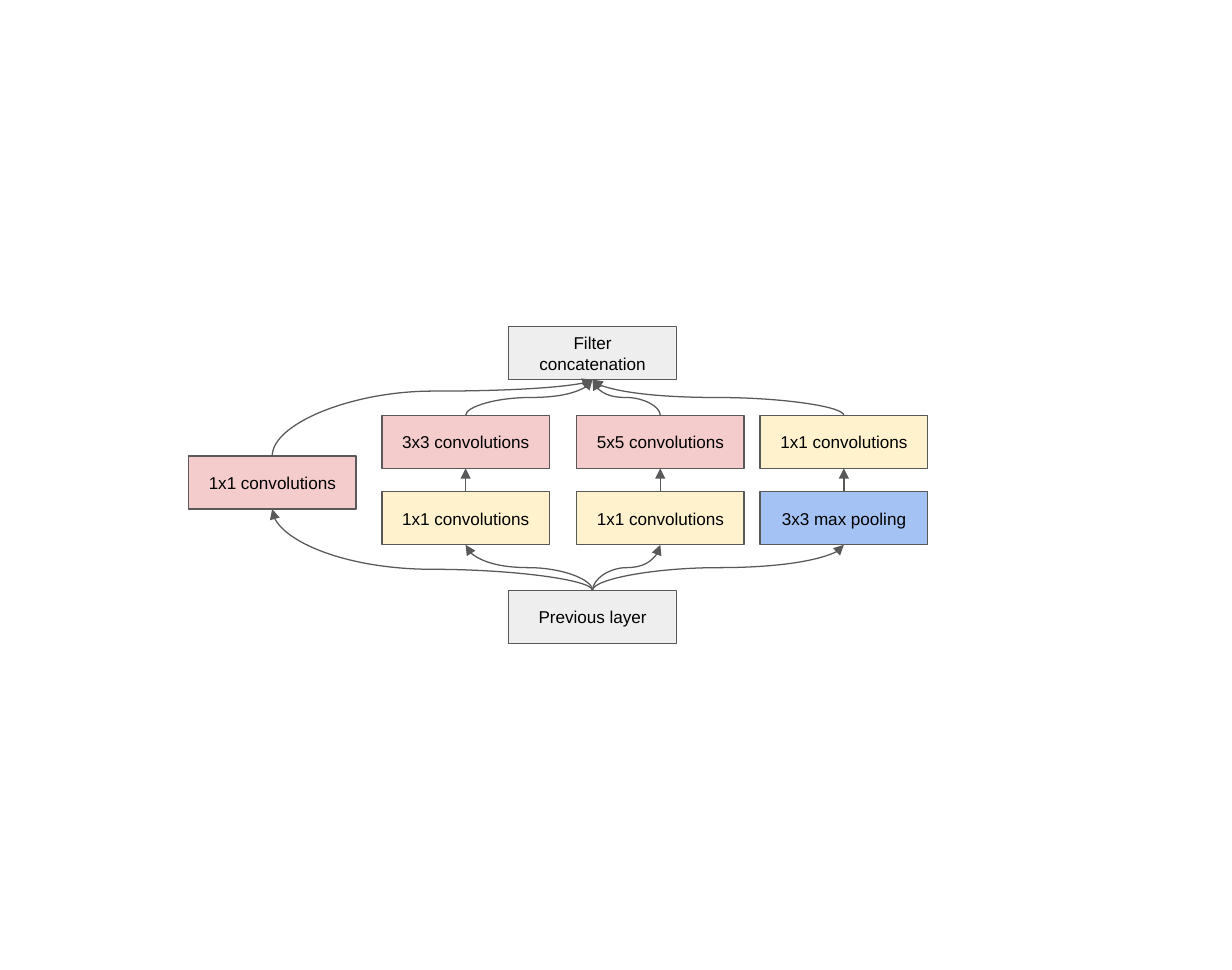
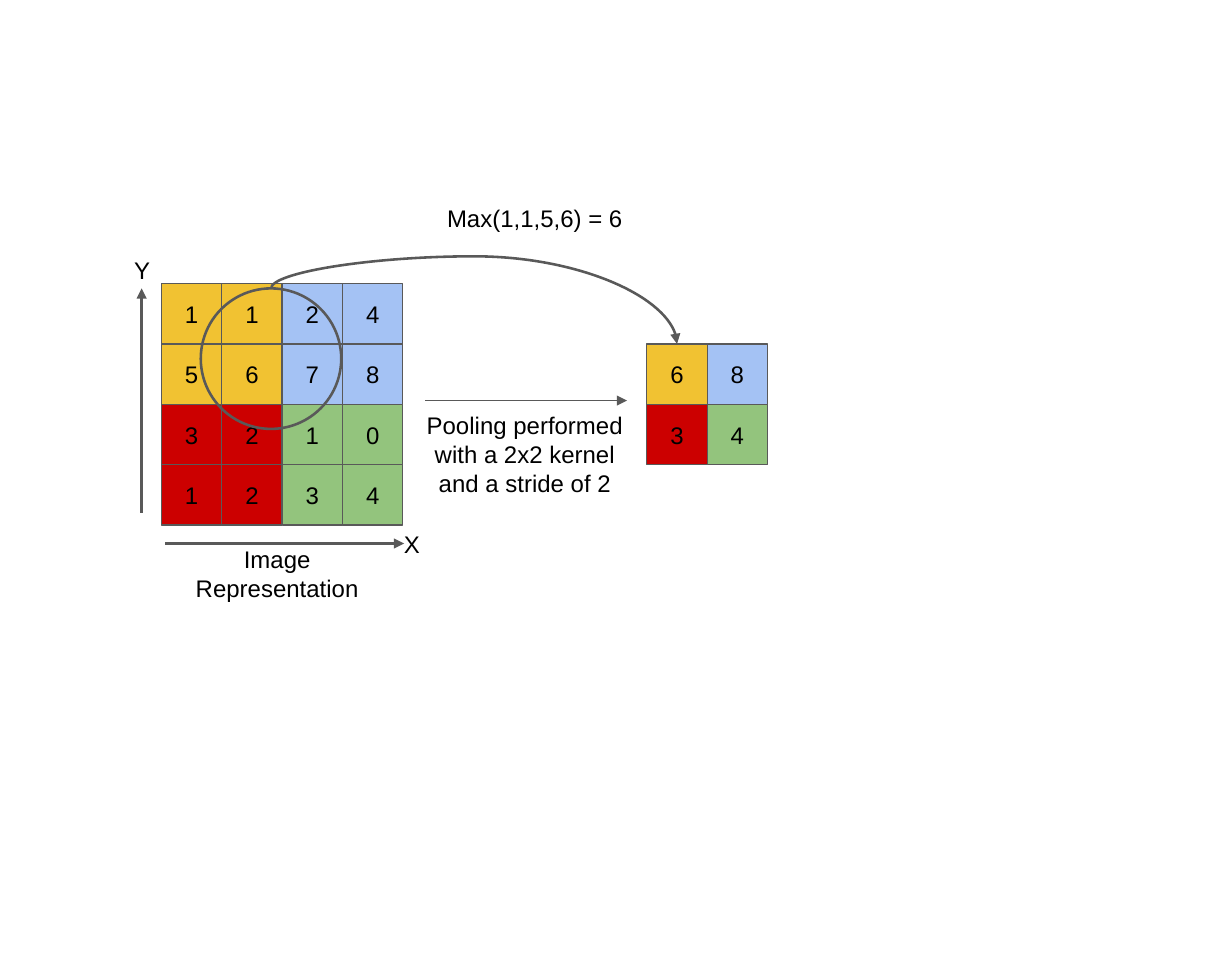
from lxml import etree
from pptx import Presentation
from pptx import util as u
from pptx.dml.color import RGBColor
from pptx.enum import shapes, text as t
from pptx.oxml.ns import qn

# Shared style
PX = 9144  # EMU per px, 100 px to the inch
WIDE, HIGH = 1000, 787
FONT = "Arial"
INK = RGBColor(0x00, 0x00, 0x00)
EDGE = RGBColor(0x59, 0x59, 0x59)
GREY = RGBColor(0xEE, 0xEE, 0xEE)
PINK = RGBColor(0xF4, 0xCC, 0xCC)
CREAM = RGBColor(0xFF, 0xF2, 0xCC)
BLUE = RGBColor(0xA4, 0xC2, 0xF4)
GOLD = RGBColor(0xF1, 0xC2, 0x32)
RED = RGBColor(0xCC, 0x00, 0x00)
GREEN = RGBColor(0x93, 0xC4, 0x7D)
RECT, OVAL = shapes.MSO_SHAPE.RECTANGLE, shapes.MSO_SHAPE.OVAL
TOP, BOTTOM = 0, 2  # connection sites

# Slide 1: the layers of the module
BOX = (136, 43)
LAYERS = {  # name: (left, top, text, fill)
    "prev": (413, 479, "Previous layer", GREY),
    "one": (153, 370, "1x1 convolutions", PINK),
    "three-in": (310, 399, "1x1 convolutions", CREAM),
    "three": (310, 337, "3x3 convolutions", PINK),
    "five-in": (468, 399, "1x1 convolutions", CREAM),
    "five": (468, 337, "5x5 convolutions", PINK),
    "pool": (617, 399, "3x3 max pooling", BLUE),
    "pool-out": (617, 337, "1x1 convolutions", CREAM),
    "concat": (413, 265, "Filter concatenation", GREY),
}
PATHS = [["one"], ["three-in", "three"], ["five-in", "five"], ["pool", "pool-out"]]
BENDS = {("prev", "one"): 0.26, ("one", "concat"): 0.85}

# Slide 2: max pooling of an image
CELL = 49
TINTS = [[GOLD, BLUE], [RED, GREEN]]
GRIDS = [  # left, top, cells to a tint, values
    (131, 230, 2, [[1, 1, 2, 4], [5, 6, 7, 8], [3, 2, 1, 0], [1, 2, 3, 4]]),
    (525, 279, 1, [[6, 8], [3, 4]]),
]
RING = (163, 234, 114, 114)
ARROWS = [  # start, end, width in points
    ((134, 441), (328, 441), 1.5),
    ((115, 416), (115, 234), 1.5),
    ((345, 325), (509, 325), 0.75),
]
LABELS = [  # place, text, format
    ((353, 155, 188, 76), "Max(1,1,5,6) = 6", {}),
    ((131, 432, 188, 76), "Image Representation", {"align": t.PP_ALIGN.CENTER}),
    ((99, 197, 49, 76), "Y", {}),
    ((318, 420, 49, 76), "X", {}),
    ((325, 320, 202, 97), "Pooling performed with a 2x2 kernel and a stride of 2",
     {"align": t.PP_ALIGN.CENTER, "anchor": t.MSO_ANCHOR.MIDDLE}),
]


def emu(*sizes):
    return [u.Emu(round(s * PX)) for s in sizes]


def write(shape, words, size=14, align=t.PP_ALIGN.LEFT, anchor=t.MSO_ANCHOR.TOP):
    frame = shape.text_frame
    frame.word_wrap = True
    frame.vertical_anchor = anchor
    (frame.margin_left, frame.margin_top,
     frame.margin_right, frame.margin_bottom) = emu(10, 10, 10, 10)
    frame.text = words
    para = frame.paragraphs[0]
    para.alignment = align
    font = para.runs[0].font
    font.name, font.size, font.color.rgb = FONT, u.Pt(size), INK


def stroke(item, width):
    item.line.color.rgb = EDGE
    item.line.width = u.Pt(width)


def draw(slide, place, kind=RECT, fill=None, width=0.75):
    shape = slide.shapes.add_shape(kind, *emu(*place))
    shape.shadow.inherit = False
    if fill is None:
        shape.fill.background()
    else:
        shape.fill.solid()
        shape.fill.fore_color.rgb = fill
    stroke(shape, width)
    return shape


def box(slide, place, words, fill, size):
    shape = draw(slide, place, fill=fill)
    write(shape, words, size=size, align=t.PP_ALIGN.CENTER, anchor=t.MSO_ANCHOR.MIDDLE)
    return shape


def arrow(slide, start, end, width=0.75, kind=shapes.MSO_CONNECTOR.STRAIGHT):
    link = slide.shapes.add_connector(kind, *emu(*start, *end))
    stroke(link, width)
    props = link._element.spPr
    etree.SubElement(props.get_or_add_ln(), qn("a:tailEnd"), type="triangle")
    etree.SubElement(props, qn("a:effectLst"))
    return link


def curve(slide, source, target, sites=(TOP, BOTTOM), bend=0.5, width=0.75):
    """Join two shapes by a curve that leaves and arrives upright."""
    link = arrow(slide, (0, 0), (0, 0), width, shapes.MSO_CONNECTOR.CURVE)
    link.begin_connect(source, sites[0])
    link.end_connect(target, sites[1])
    x, y = link.begin_x, link.begin_y
    run, rise = link.end_x - x, link.end_y - y
    # The preset runs sideways, so it is turned about its centre
    wide, high = abs(rise), abs(run)
    link.left = u.Emu(x + (run - wide) // 2)
    link.top = u.Emu(y + (rise - high) // 2)
    link.width, link.height = u.Emu(wide), u.Emu(high)
    left, up = run < 0, rise < 0
    frame = link._element.spPr.xfrm
    frame.set("rot", str((90 if left else 270) * 60000))
    frame.set("flipH", str(int(left == up)))
    frame.set("flipV", "0")
    guides = link._element.spPr.find(qn("a:prstGeom")).get_or_add_avLst()
    etree.SubElement(guides, qn("a:gd"), name="adj1", fmla=f"val {round(bend * 100000)}")


def module(slide):
    nodes = {name: box(slide, (x, y, *BOX), words, fill, 10)
             for name, (x, y, words, fill) in LAYERS.items()}
    for path in PATHS:
        stops = ["prev", *path, "concat"]
        for pair in zip(stops, stops[1:]):
            curve(slide, *(nodes[name] for name in pair), bend=BENDS.get(pair, 0.5))


def pooling(slide):
    firsts = []
    for left, top, span, rows in GRIDS:
        cells = [box(slide, (left + c * CELL, top + r * CELL, CELL, CELL),
                     str(value), TINTS[r // span][c // span], 14)
                 for r, row in enumerate(rows) for c, value in enumerate(row)]
        firsts.append(cells[0])
    for start, end, width in ARROWS:
        arrow(slide, start, end, width)
    ring = draw(slide, RING, kind=OVAL, width=1.5)
    curve(slide, ring, firsts[1], sites=(TOP, TOP), bend=-0.58, width=1.5)
    for place, words, style in LABELS:
        write(slide.shapes.add_textbox(*emu(*place)), words, **style)


def main():
    deck = Presentation()
    deck.slide_width, deck.slide_height = emu(WIDE, HIGH)
    for build in (module, pooling):
        build(deck.slides.add_slide(deck.slide_layouts[6]))
    deck.save("out.pptx")


if __name__ == "__main__":
    main()
